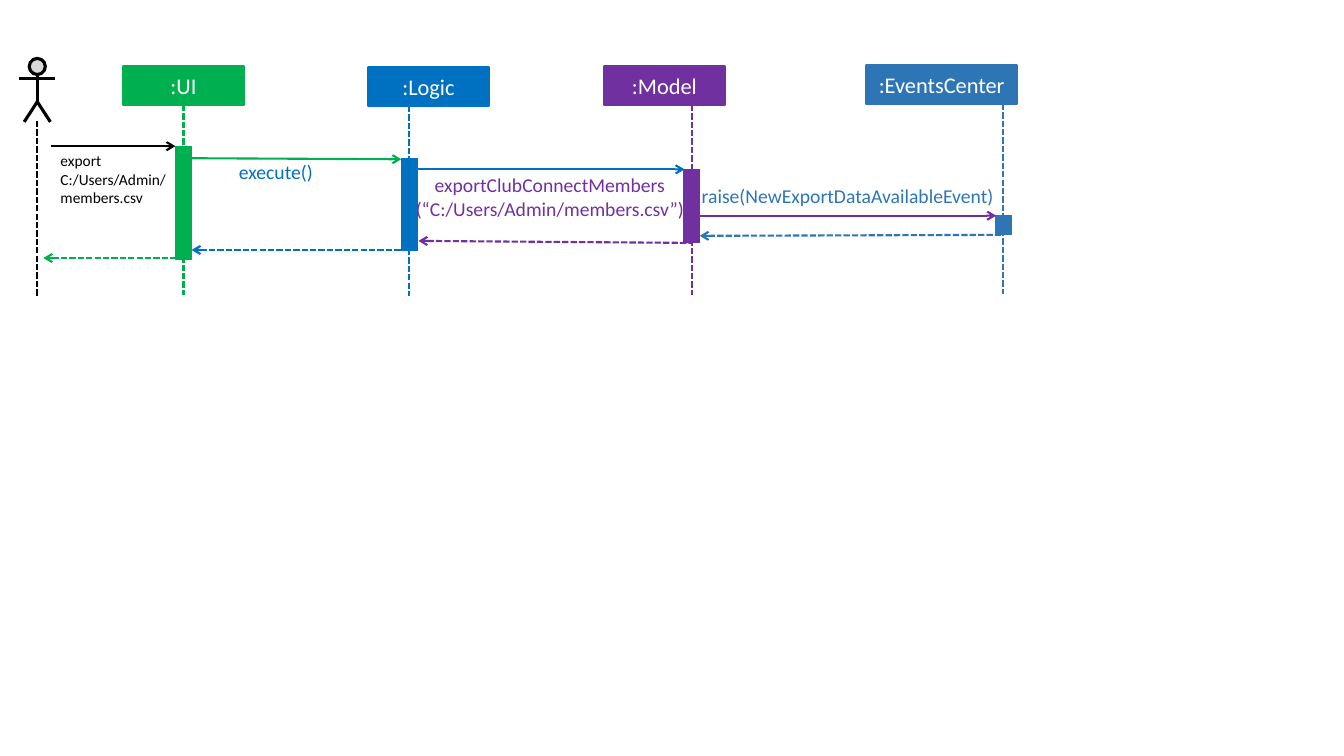
from dataclasses import dataclass
from typing import Optional

from pptx import Presentation, util as u
from pptx.dml.color import RGBColor
from pptx.enum import dml, shapes, text
from pptx.oxml.ns import qn
from pptx.oxml.xmlchemy import OxmlElement


@dataclass(frozen=True)
class Theme:
    font: str = "Calibri"
    black: str = "000000"
    white: str = "FFFFFF"
    face: str = "D9D9D9"
    ui: str = "00B050"
    logic: str = "0070C0"
    model: str = "7030A0"
    events: str = "2E75B6"
    title_size: float = 16
    label_size: float = 14
    command_size: float = 11
    bar_line: float = 0.5
    line: float = 1.5
    actor_line: float = 2.25


@dataclass(frozen=True)
class Participant:
    name: str
    color: str
    column: float
    row: float
    columns: float
    life_column: float
    bar_row: float
    bar_rows: float
    centred: bool = False


@dataclass(frozen=True)
class Message:
    color: str
    start: tuple[float, float]
    end: tuple[float, float]
    reply: bool = False
    from_bar: Optional[str] = None


@dataclass(frozen=True)
class Label:
    words: str
    color: str
    size: float
    frame: tuple[float, float, float, float]
    align: text.PP_ALIGN = text.PP_ALIGN.LEFT


THEME = Theme()
CELL = u.Inches(0.1)
HEAD_ROWS = 3.8
LIFE_ROWS = 18.9
BAR_COLUMNS = 1.6
ACTOR_COLUMN = 3.7

PARTICIPANTS = [
    Participant(":UI", THEME.ui, 12.2, 6.6, 12, 18.2, 14.5, 11.2, centred=True),
    Participant(":Logic", THEME.logic, 36.5, 6.7, 12, 40.6, 15.7, 9.1),
    Participant(":Model", THEME.model, 59.9, 6.6, 12, 68.6, 16.8, 7.3),
    Participant(":EventsCenter", THEME.events, 85.9, 6.5, 15, 99.5, 21.4, 1.9),
]
MESSAGES = [
    Message(THEME.black, (5.1, 14.5), (17.4, 14.5)),
    Message(THEME.ui, (19, 15.7), (39.8, 15.8)),
    Message(THEME.logic, (41.5, 16.8), (67.9, 16.8)),
    Message(THEME.model, (69.3, 21.4), (98.8, 21.4)),
    Message(THEME.events, (69.4, 23.4), (99.5, 23.3), True, ":EventsCenter"),
    Message(THEME.model, (41.5, 23.9), (68.6, 24.1), True, ":Model"),
    Message(THEME.logic, (19, 24.8), (41.5, 24.8), True),
    Message(THEME.ui, (4.3, 25.6), (17.4, 25.6), True),
]
LABELS = [
    Label("export C:/Users/Admin/ members.csv", THEME.black,
          THEME.command_size, (6, 15, 12.2, 5.6)),
    Label("execute()", THEME.logic, THEME.label_size, (23.7, 15.9, 15.6, 2.4)),
    Label("exportClubConnectMembers (“C:/Users/Admin/members.csv”)", THEME.model,
          THEME.label_size, (41.2, 17.2, 26.7, 4.7), text.PP_ALIGN.CENTER),
    Label("raise(NewExportDataAvailableEvent)", THEME.events,
          THEME.label_size, (69.6, 18.2, 29.7, 2.4)),
]


def grid(*cells: float) -> list[u.Emu]:
    return [u.Emu(round(cell * CELL)) for cell in cells]


def rgb(color: str) -> RGBColor:
    return RGBColor.from_string(color)


def add_block(canvas, kind, frame: tuple[float, ...], fill: str, line: str, width: float):
    block = canvas.add_shape(kind, *grid(*frame))
    block.shadow.inherit = False
    block.fill.solid()
    block.fill.fore_color.rgb = rgb(fill)
    block.line.color.rgb = rgb(line)
    block.line.width = u.Pt(width)
    return block


def add_line(canvas, start: tuple[float, float], end: tuple[float, float], color: str,
             width: float = THEME.line, dashed: bool = False, arrow: str = ""):
    line = canvas.add_connector(shapes.MSO_CONNECTOR.STRAIGHT, *grid(*start, *end))
    line.line.color.rgb = rgb(color)
    line.line.width = u.Pt(width)
    if dashed:
        line.line.dash_style = dml.MSO_LINE.SQUARE_DOT
    if arrow:
        tip = OxmlElement(arrow)
        tip.set("type", "arrow")
        line.line._get_or_add_ln().append(tip)
    line._element.find(qn("p:spPr")).append(OxmlElement("a:effectLst"))
    return line


def write(box, words: str, size: float, color: str, align: text.PP_ALIGN) -> None:
    para = box.text_frame.paragraphs[0]
    para.text = words
    para.alignment = align
    para.font.name = THEME.font
    para.font.size = u.Pt(size)
    para.font.color.rgb = rgb(color)


def add_participant(canvas, item: Participant):
    head = add_block(canvas, shapes.MSO_SHAPE.RECTANGLE,
                     (item.column, item.row, item.columns, HEAD_ROWS),
                     item.color, item.color, THEME.line)
    head.text_frame.vertical_anchor = text.MSO_ANCHOR.MIDDLE
    write(head, item.name, THEME.title_size, THEME.white, text.PP_ALIGN.CENTER)
    top = item.row + HEAD_ROWS
    life = add_line(canvas, (item.life_column, top), (item.life_column, top + LIFE_ROWS),
                    item.color, dashed=True)
    if item.centred:
        life.begin_connect(head, 2)
    return add_block(canvas, shapes.MSO_SHAPE.RECTANGLE,
                     (item.life_column - BAR_COLUMNS / 2, item.bar_row, BAR_COLUMNS, item.bar_rows),
                     item.color, item.color, THEME.bar_line)


def add_message(canvas, item: Message, bars: dict) -> None:
    line = add_line(canvas, item.start, item.end, item.color, dashed=item.reply,
                    arrow="a:headEnd" if item.reply else "a:tailEnd")
    if item.from_bar:
        line.end_connect(bars[item.from_bar], 2)


def add_label(canvas, item: Label) -> None:
    box = canvas.add_textbox(*grid(*item.frame))
    frame = box.text_frame
    frame.word_wrap = True
    frame.auto_size = text.MSO_AUTO_SIZE.SHAPE_TO_FIT_TEXT
    frame.margin_left = frame.margin_right = frame.margin_top = frame.margin_bottom = 0
    write(box, item.words, item.size, item.color, item.align)


def add_actor(canvas) -> None:
    figure = canvas.add_group_shape().shapes
    add_block(figure, shapes.MSO_SHAPE.FLOWCHART_CONNECTOR,
              (ACTOR_COLUMN - 0.8, 5.8, 1.6, 1.6), THEME.face, THEME.black, THEME.actor_line)
    for start, end in (((ACTOR_COLUMN, 7.4), (ACTOR_COLUMN, 10.2)),
                       ((ACTOR_COLUMN - 1.8, 7.8), (ACTOR_COLUMN + 1.8, 7.8))):
        add_line(figure, start, end, THEME.black, THEME.actor_line)
    outline = figure.build_freeform(*grid(ACTOR_COLUMN - 1.3, 12.1))
    outline.add_line_segments([grid(ACTOR_COLUMN, 10.1), grid(ACTOR_COLUMN + 1.3, 12.1)], close=False)
    legs = outline.convert_to_shape()
    legs.shadow.inherit = False
    legs.fill.background()
    legs.line.color.rgb = rgb(THEME.black)
    legs.line.width = u.Pt(THEME.actor_line)
    add_line(canvas, (ACTOR_COLUMN, 12), (ACTOR_COLUMN, 29.5), THEME.black, dashed=True)


def main() -> None:
    deck = Presentation()
    deck.slide_width, deck.slide_height = u.Inches(13.33), u.Inches(7.5)
    page = deck.slides.add_slide(deck.slide_layouts[6])
    add_actor(page.shapes)
    bars = {item.name: add_participant(page.shapes, item) for item in PARTICIPANTS}
    for message in MESSAGES:
        add_message(page.shapes, message, bars)
    for label in LABELS:
        add_label(page.shapes, label)
    deck.save("out.pptx")


if __name__ == "__main__":
    main()
